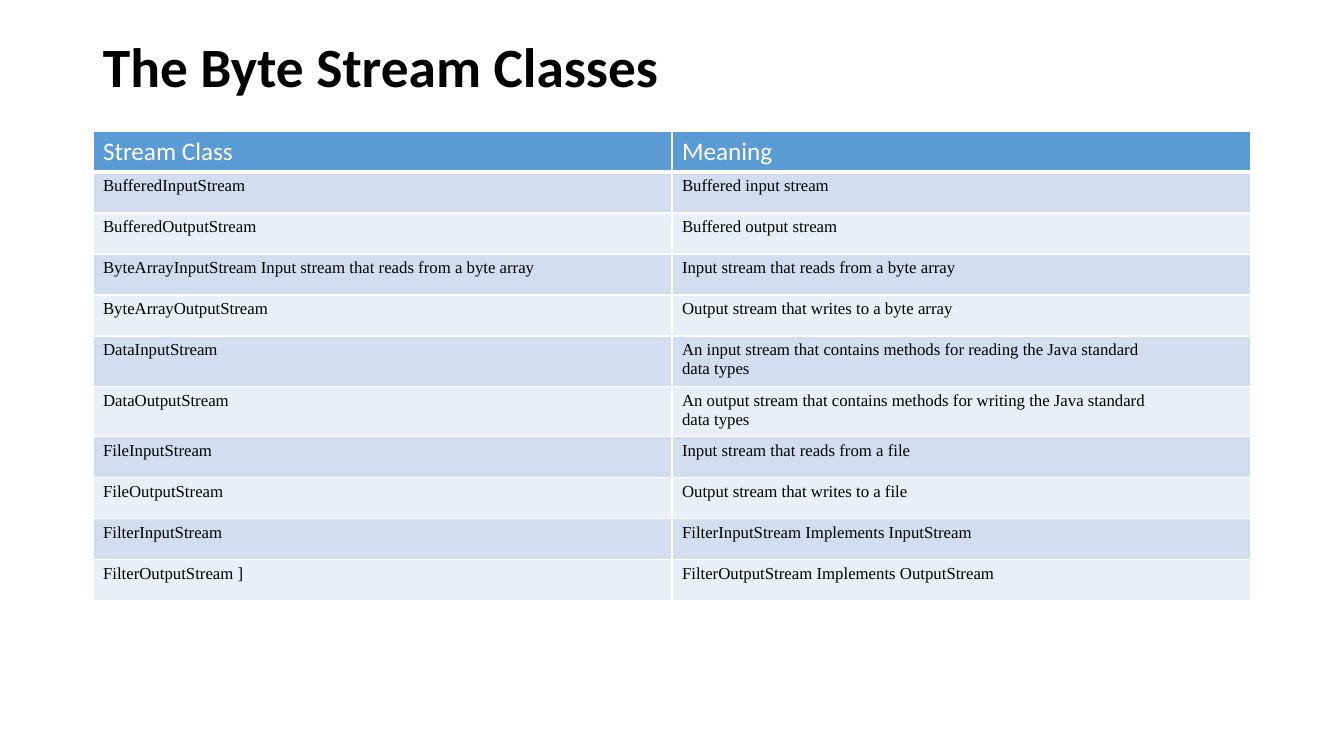
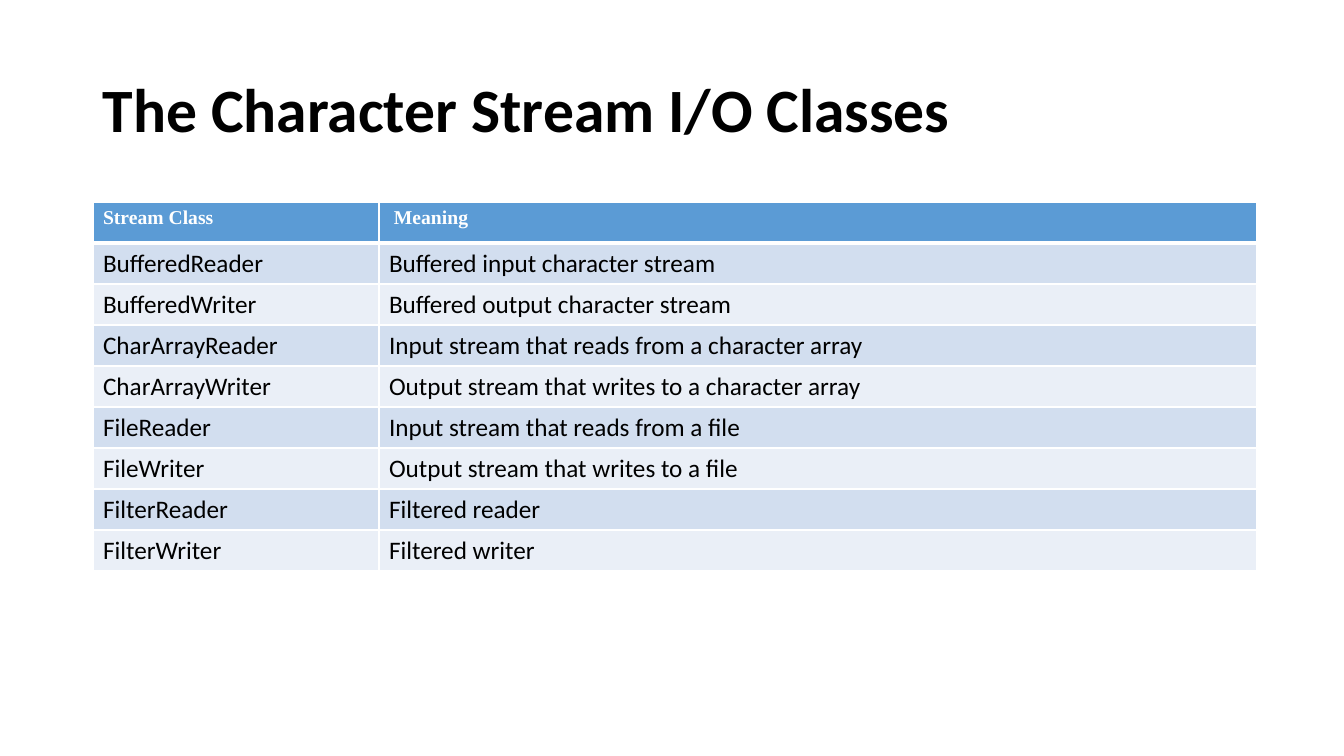
import pptx
import pptx.dml.color
import pptx.enum.text
import pptx.oxml.ns
import pptx.util
import lxml.etree

SCALE = 914400 / 100.8
LEFT = 93
TOP = 40
ROW = 41
BLACK = "000000"
WHITE = "FFFFFF"
HEAD = "5B9BD5"
BANDS = ["D2DEEF", "EAEFF7"]
SANS = "Calibri"
SERIF = "Times New Roman"


def px(num):
    return round(num * SCALE)


def color(code):
    return pptx.dml.color.RGBColor.from_string(code)


def apply(item, form):
    for name, value in form.items():
        setattr(item, name, value)


def font(face, size, bold=False):
    return {"name": face, "size": pptx.util.Pt(size), "bold": bold}


class Deck:
    def __init__(self):
        self.show = pptx.Presentation()
        apply(self.show, {"slide_width": px(1344), "slide_height": px(756)})
        self.page = None

    def slide(self):
        self.page = self.show.slides.add_slide(self.show.slide_layouts[6])

    def label(self, frame, text, form, ink, gap=None):
        frame.text = text
        for para in frame.paragraphs:
            para.line_spacing = gap
            for run in para.runs:
                apply(run.font, form)
                run.font.color.rgb = color(ink)

    def title(self, text, high, size):
        box = self.page.shapes.add_textbox(px(LEFT), px(TOP), px(1159), px(high))
        apply(box.text_frame, {
            "word_wrap": True,
            "vertical_anchor": pptx.enum.text.MSO_ANCHOR.MIDDLE,
        })
        self.label(box.text_frame, text, font(SANS, size, True), BLACK, 0.9)

    def border(self, cell, side, size):
        qn = pptx.oxml.ns.qn
        props = cell._tc.get_or_add_tcPr()
        line = lxml.etree.SubElement(props, qn("a:ln" + side), w=str(pptx.util.Pt(size)))
        fill = lxml.etree.SubElement(line, qn("a:solidFill"))
        lxml.etree.SubElement(fill, qn("a:srgbClr"), val=WHITE)

    def table(self, top, wide, rows, head, body):
        grid = self.page.shapes.add_table(
            len(rows), len(wide), px(LEFT), px(top), px(sum(wide)), px(ROW * len(rows))
        ).table
        for col, size in zip(grid.columns, wide):
            col.width = px(size)
        for i, row in enumerate(rows):
            grid.rows[i].height = px(ROW)
            back = BANDS[(i - 1) % 2] if i else HEAD
            edges = {"L": 1, "R": 1, "T": 3 if i == 1 else 1, "B": 1 if i else 3}
            for j, text in enumerate(row):
                cell = grid.cell(i, j)
                for side, size in edges.items():
                    self.border(cell, side, size)
                cell.fill.solid()
                cell.fill.fore_color.rgb = color(back)
                form, ink = (body, BLACK) if i else (head, WHITE)
                self.label(cell.text_frame, text, form, ink)


BYTES = [
    ("Stream Class", "Meaning"),
    ("BufferedInputStream", "Buffered input stream"),
    ("BufferedOutputStream", "Buffered output stream"),
    ("ByteArrayInputStream Input stream that reads from a byte array",
     "Input stream that reads from a byte array"),
    ("ByteArrayOutputStream", "Output stream that writes to a byte array"),
    ("DataInputStream",
     "An input stream that contains methods for reading the Java standard\ndata types"),
    ("DataOutputStream",
     "An output stream that contains methods for writing the Java standard\ndata types"),
    ("FileInputStream", "Input stream that reads from a file"),
    ("FileOutputStream", "Output stream that writes to a file"),
    ("FilterInputStream", "FilterInputStream Implements InputStream"),
    ("FilterOutputStream ]", "FilterOutputStream Implements OutputStream"),
]

CHARS = [
    ("Stream Class", " Meaning"),
    ("BufferedReader", "Buffered input character stream"),
    ("BufferedWriter", "Buffered output character stream"),
    ("CharArrayReader", "Input stream that reads from a character array"),
    ("CharArrayWriter", "Output stream that writes to a character array"),
    ("FileReader", "Input stream that reads from a file"),
    ("FileWriter", "Output stream that writes to a file"),
    ("FilterReader", "Filtered reader"),
    ("FilterWriter", "Filtered writer"),
]


def main():
    deck = Deck()
    deck.slide()
    deck.title("The Byte Stream Classes", 60, 39.6)
    deck.table(131, [579, 579], BYTES, font(SANS, 18), font(SERIF, 12))
    deck.slide()
    deck.title("The Character Stream I/O Classes", 146, 44)
    deck.table(202, [286, 878], CHARS, font(SERIF, 14, True), font(SANS, 18))
    deck.show.save("out.pptx")


if __name__ == "__main__":
    main()
